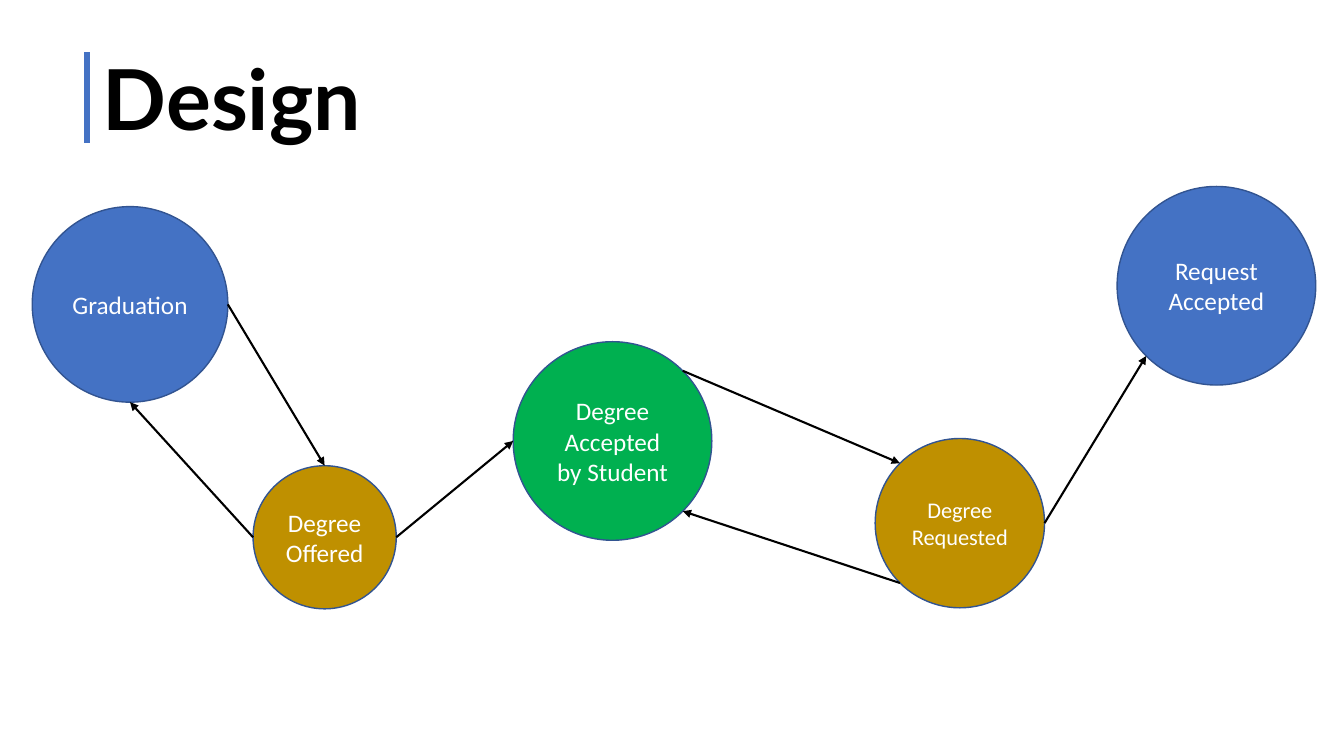
import math

from lxml import etree
from pptx import Presentation
from pptx import util as u
from pptx.dml.color import RGBColor
from pptx.enum import shapes, text
from pptx.oxml.ns import qn

COLORS = {
    "blue": "4472C4",
    "gold": "BF9000",
    "green": "00B050",
    "outline": "325491",
    "black": "000000",
    "white": "FFFFFF",
}
SITES = ["top", "top left", "left", "bottom left",
         "bottom", "bottom right", "right", "top right"]


def color(name):
    return RGBColor.from_string(COLORS[name])


class Diagram:
    def __init__(self, slide):
        self.slide = slide

    def style_font(self, paragraph, name, size, color_name, bold=False):
        font = paragraph.font
        font.name = name
        font.size = u.Pt(size)
        font.bold = bold
        font.color.rgb = color(color_name)

    def title(self, words, left, top, width, height):
        shape = self.slide.shapes.title
        shape.left, shape.top = u.Inches(left), u.Inches(top)
        shape.width, shape.height = u.Inches(width), u.Inches(height)
        frame = shape.text_frame
        frame.text = words
        frame.word_wrap = True
        frame.auto_size = text.MSO_AUTO_SIZE.NONE
        frame.vertical_anchor = text.MSO_ANCHOR.MIDDLE
        paragraph = frame.paragraphs[0]
        paragraph.alignment = text.PP_ALIGN.LEFT
        paragraph.line_spacing = 0.9
        self.style_font(paragraph, "Lato", 60, "black", bold=True)

    def state(self, words, left, top, diameter, fill, size=18):
        shape = self.slide.shapes.add_shape(
            shapes.MSO_SHAPE.OVAL, u.Inches(left), u.Inches(top),
            u.Inches(diameter), u.Inches(diameter))
        shape.shadow.inherit = False
        shape.fill.solid()
        shape.fill.fore_color.rgb = color(fill)
        shape.line.color.rgb = color("outline")
        shape.line.width = u.Pt(1)
        frame = shape.text_frame
        frame.text = words
        frame.word_wrap = True
        frame.vertical_anchor = text.MSO_ANCHOR.MIDDLE
        paragraph = frame.paragraphs[0]
        paragraph.alignment = text.PP_ALIGN.CENTER
        self.style_font(paragraph, "Calibri", size, "white")
        return shape

    def line(self, start, end, color_name, width):
        connector = self.slide.shapes.add_connector(
            shapes.MSO_CONNECTOR.STRAIGHT, *start, *end)
        connector.line.color.rgb = color(color_name)
        connector.line.width = u.Pt(width)
        etree.SubElement(connector._element.spPr, qn("a:effectLst"))
        return connector

    def site(self, state, side):
        angle = math.radians(90 + 45 * SITES.index(side))
        radius = state.width / 2
        return (round(state.left + radius * (1 + math.cos(angle))),
                round(state.top + radius * (1 - math.sin(angle))))

    def transition(self, source, source_side, target, target_side):
        connector = self.line(self.site(source, source_side),
                              self.site(target, target_side), "black", 1.5)
        outline = connector._element.spPr.find(qn("a:ln"))
        etree.SubElement(outline, qn("a:tailEnd"), type="triangle")
        links = connector._element.nvCxnSpPr.cNvCxnSpPr
        for tag, state, side in (("a:stCxn", source, source_side),
                                 ("a:endCxn", target, target_side)):
            etree.SubElement(links, qn(tag), id=str(state.shape_id),
                             idx=str(SITES.index(side)))


presentation = Presentation()
presentation.slide_width = u.Inches(13.33)
presentation.slide_height = u.Inches(7.5)
slide = presentation.slides.add_slide(presentation.slide_layouts[5])
diagram = Diagram(slide)

diagram.title("Design", 0.92, 0.3, 11.5, 1.45)
diagram.line((u.Inches(0.86), u.Inches(0.52)),
             (u.Inches(0.86), u.Inches(1.42)), "blue", 4.5)

graduation = diagram.state("Graduation", 0.32, 2.05, 1.94, "blue")
offered = diagram.state("Degree Offered", 2.51, 4.62, 1.42, "gold")
accepted = diagram.state("Degree Accepted by Student", 5.09, 3.39, 1.97, "green")
requested = diagram.state("Degree Requested", 8.68, 4.35, 1.68, "gold", size=16)
request_accepted = diagram.state("Request Accepted", 11.08, 1.85, 1.97, "blue")

for transition in (
    (graduation, "right", offered, "top"),
    (offered, "left", graduation, "bottom"),
    (offered, "right", accepted, "left"),
    (accepted, "top right", requested, "top left"),
    (requested, "bottom left", accepted, "bottom right"),
    (requested, "right", request_accepted, "bottom left"),
):
    diagram.transition(*transition)

presentation.save("out.pptx")
